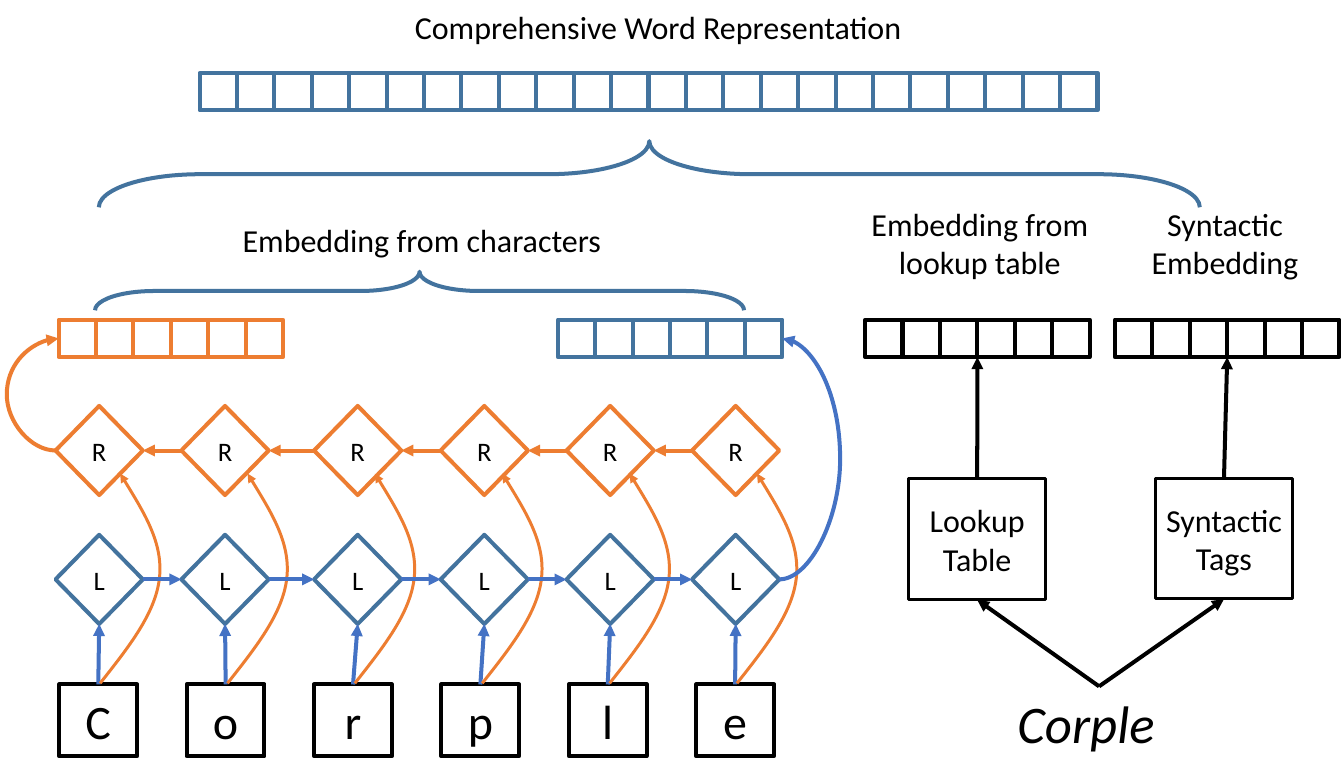
import lxml.etree
import pptx
import pptx.dml.color
import pptx.enum.shapes
import pptx.enum.text
import pptx.oxml.ns
import pptx.util

Cm = pptx.util.Cm
SHAPE = pptx.enum.shapes.MSO_SHAPE
CONNECTOR = pptx.enum.shapes.MSO_CONNECTOR
ALIGN = pptx.enum.text.PP_ALIGN
ANCHOR = pptx.enum.text.MSO_ANCHOR
qn = pptx.oxml.ns.qn

COLORS = {"steel": "43739E", "blue": "4472C4", "orange": "ED7D31", "black": "000000"}
FONT = "Calibri"
TOP, LEFT, BOTTOM, RIGHT = range(4)

# Content; all lengths are in centimetres
WORD = "Corple"
TITLE = ("Comprehensive Word Representation", (10.72, 0.08, 13.92, 1.27))
LABELS = [  # text, box, size, alignment, italic
    ("Embedding from characters", (6.17, 5.72, 10.13, 1.27), 24, ALIGN.LEFT, False),
    ("Embedding from lookup table", (22.71, 5.28, 6.43, 2.31), 24, ALIGN.CENTER, False),
    ("Syntactic Embedding", (30.05, 5.28, 4.72, 2.31), 24, ALIGN.CENTER, False),
    (WORD, (26.67, 18.16, 4.8, 1.96), 39.6, ALIGN.LEFT, True),
]
VECTORS = {  # left, top, cell count, colour
    "whole word": (5.28, 1.93, 24, "steel"),
    "right to left": (1.55, 8.46, 6, "orange"),
    "left to right": (14.76, 8.46, 6, "steel"),
    "lookup": (22.89, 8.46, 6, "black"),
    "syntax": (29.5, 8.46, 6, "black"),
}
CELL = 0.99
SOURCES = [  # text, left, top, vector above
    ("Lookup Table", 24.05, 12.67, "lookup"),
    ("Syntactic Tags", 30.58, 12.65, "syntax"),
]
SOURCE_SIZE = (3.61, 3.2)
WORD_TIP = (29.08, 18.16)
BRACES = [  # centre x, centre y, span, depth
    (11.1, 7.7, 17.17, 1.02),
    (17.18, 4.61, 29.13, 1.75),
]
DIAMOND_LEFTS = [1.47, 4.8, 8.31, 11.66, 14.99, 18.31]
DIAMOND_SIZE = (2.31, 2.36)
FORWARD_TOP, BACKWARD_TOP = 14.15, 10.74
LETTER_LEFT, LETTER_TOP, LETTER_STEP = 1.57, 18.11, 3.37
LETTER_SIZE = (2.06, 1.9)
# Start and Bezier control points, relative to the top middle of a letter
SKIP_CURVE = [(0.58, -5.58), (1.15, -4.65), (1.72, -3.74), (1.62, -2.82),
              (1.52, -1.88), (0.79, -0.97), (0.05, -0.03)]


def color(name):
    return pptx.dml.color.RGBColor.from_string(COLORS[name])


def write(shape, text, size, align=ALIGN.CENTER, anchor=ANCHOR.MIDDLE, italic=False):
    frame = shape.text_frame
    frame.word_wrap = True
    frame.auto_size = pptx.enum.text.MSO_AUTO_SIZE.NONE
    frame.vertical_anchor = anchor
    para = frame.paragraphs[0]
    para.alignment = align
    span = para.add_run()
    span.text = text
    span.font.name = FONT
    span.font.size = pptx.util.Pt(size)
    span.font.italic = italic
    span.font.color.rgb = color("black")


def outline(shape, line_color, width=3):
    shape.shadow.inherit = False
    shape.fill.background()
    shape.line.color.rgb = color(line_color)
    shape.line.width = pptx.util.Pt(width)


def add_outlined(shapes, kind, bounds, line_color, width=3):
    shape = shapes.add_shape(kind, *map(Cm, bounds))
    outline(shape, line_color, width)
    return shape


def add_arrowhead(shape, end):
    line = shape.element.find(".//" + qn("a:ln"))
    lxml.etree.SubElement(line, qn("a:" + end), type="triangle")


def add_arrow(shapes, start, end, line_color, bend=None):
    """Each end is an (x, y) point or a (shape, side) pair; bend is the x a curve swings to."""
    kind = CONNECTOR.STRAIGHT if bend is None else CONNECTOR.CURVE
    arrow = shapes.add_connector(kind, 0, 0, 0, 0)
    if isinstance(start[0], (int, float)):
        arrow.begin_x, arrow.begin_y = map(Cm, start)
    else:
        arrow.begin_connect(*start)
    if isinstance(end[0], (int, float)):
        arrow.end_x, arrow.end_y = map(Cm, end)
    else:
        arrow.end_connect(*end)
    arrow.line.color.rgb = color(line_color)
    arrow.line.width = pptx.util.Pt(3)
    add_arrowhead(arrow, "tailEnd")
    lxml.etree.SubElement(arrow.element.spPr, qn("a:effectLst"))
    if bend is not None:
        ratio = (Cm(bend) - arrow.begin_x) / (arrow.end_x - arrow.begin_x)
        guides = arrow.element.find(".//" + qn("a:avLst"))
        lxml.etree.SubElement(guides, qn("a:gd"), name="adj1",
                              fmla=f"val {round(ratio * 100000)}")


def add_skip_curve(shapes, x, y):
    """Draw the curved arrow that passes from a letter to its backward unit."""
    points = [(Cm(x + dx), Cm(y + dy)) for dx, dy in SKIP_CURVE]
    builder = shapes.build_freeform(*points[0])
    builder.add_line_segments(points[1:], close=False)
    curve = builder.convert_to_shape()
    route = curve.element.find(".//" + qn("a:path"))
    steps = route.findall(qn("a:lnTo"))
    for first in range(0, len(steps), 3):
        bezier = lxml.etree.SubElement(route, qn("a:cubicBezTo"))
        for step in steps[first:first + 3]:
            bezier.append(step[0])
            route.remove(step)
    outline(curve, "orange", 2.25)
    add_arrowhead(curve, "headEnd")


def add_vector(shapes, left, top, count, line_color):
    group = shapes.add_group_shape()
    return [add_outlined(group.shapes, SHAPE.RECTANGLE,
                         (left + i * CELL, top, CELL, CELL), line_color)
            for i in range(count)]


def add_units(shapes, text, top, line_color):
    units = []
    for left in DIAMOND_LEFTS:
        unit = add_outlined(shapes, SHAPE.DIAMOND, (left, top, *DIAMOND_SIZE), line_color)
        frame = unit.text_frame
        frame.margin_left = frame.margin_right = frame.margin_top = frame.margin_bottom = 0
        write(unit, text, 20)
        units.append(unit)
    return units


def main():
    deck = pptx.Presentation()
    deck.slide_width, deck.slide_height = Cm(35.56), Cm(20.32)
    page = deck.slides.add_slide(deck.slide_layouts[5])
    shapes = page.shapes

    text, bounds = TITLE
    title = shapes.title
    title.left, title.top, title.width, title.height = map(Cm, bounds)
    write(title, text, 24, ALIGN.LEFT, ANCHOR.TOP)

    for text, bounds, size, align, italic in LABELS:
        label = shapes.add_textbox(*map(Cm, bounds))
        write(label, text, size, align, ANCHOR.TOP, italic)

    vectors = {name: add_vector(shapes, *values) for name, values in VECTORS.items()}

    for x, y, span, depth in BRACES:
        brace = add_outlined(shapes, SHAPE.LEFT_BRACE,
                             (x - depth / 2, y - span / 2, depth, span), "steel")
        brace.rotation = 90
        brace.adjustments[0] = 1.535

    forward = add_units(shapes, "L", FORWARD_TOP, "steel")
    backward = add_units(shapes, "R", BACKWARD_TOP, "orange")
    for i, letter in enumerate(WORD):
        left = LETTER_LEFT + i * LETTER_STEP
        box = add_outlined(shapes, SHAPE.RECTANGLE, (left, LETTER_TOP, *LETTER_SIZE), "black")
        write(box, letter if i == 0 else letter.lower(), 36)
        add_arrow(shapes, (box, TOP), (forward[i], BOTTOM), "blue")
        add_skip_curve(shapes, left + LETTER_SIZE[0] / 2, LETTER_TOP)
        if i > 0:
            add_arrow(shapes, (forward[i - 1], RIGHT), (forward[i], LEFT), "blue")
            add_arrow(shapes, (backward[i], LEFT), (backward[i - 1], RIGHT), "orange")
    add_arrow(shapes, (backward[0], LEFT), (vectors["right to left"][0], LEFT), "orange", 0.18)
    add_arrow(shapes, (forward[-1], RIGHT), (vectors["left to right"][-1], RIGHT), "blue", 22.23)

    for text, left, top, name in SOURCES:
        box = add_outlined(shapes, SHAPE.RECTANGLE, (left, top, *SOURCE_SIZE), "black", 2.25)
        write(box, text, 24)
        vector_left, vector_top, count, _ = VECTORS[name]
        middle = (vector_left + count * CELL / 2, vector_top + CELL)
        add_arrow(shapes, (box, TOP), middle, "black")
        add_arrow(shapes, WORD_TIP, (box, BOTTOM), "black")

    deck.save("out.pptx")


if __name__ == "__main__":
    main()
